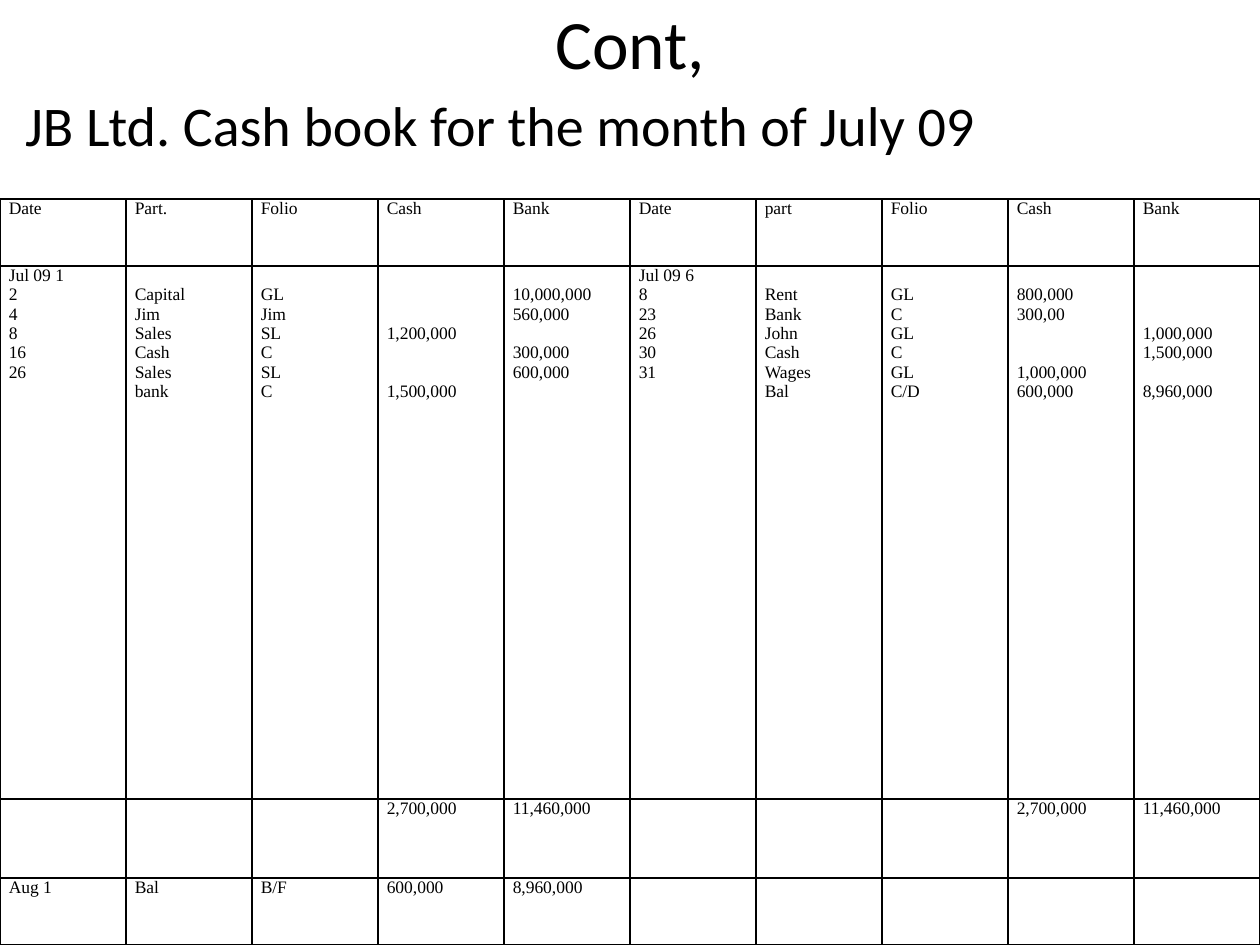
from lxml import etree
from pptx import Presentation, util as u
from pptx.dml.color import RGBColor
from pptx.enum import text
from pptx.oxml.ns import qn

WIDTH, HEIGHT = 10, 7.5
COLUMNS = 10
ROW_HEIGHTS = [0.53, 4.23, 0.63, 0.53]
LINE = 11.05  # points from one ledger line to the next
BLACK = "000000"

HEADER = ["Date", "Part.", "Folio", "Cash", "Bank",
          "Date", "part", "Folio", "Cash", "Bank"]
# One list per column; "" is a ledger line without an entry
ENTRIES = [
    ["Jul 09 1", "2", "4", "8", "16", "26"],
    ["", "Capital", "Jim", "Sales", "Cash", "Sales", "bank"],
    ["", "GL", "Jim", "SL", "C", "SL", "C"],
    ["", "", "", "1,200,000", "", "", "1,500,000"],
    ["", "10,000,000", "560,000", "", "300,000", "600,000"],
    ["Jul 09 6", "8", "23", "26", "30", "31"],
    ["", "Rent", "Bank", "John", "Cash", "Wages", "Bal"],
    ["", "GL", "C", "GL", "C", "GL", "C/D"],
    ["", "800,000", "300,00", "", "", "1,000,000", "600,000"],
    ["", "", "", "1,000,000", "1,500,000", "", "8,960,000"],
]
TOTALS = ["", "", "", "2,700,000", "11,460,000"]
BALANCES = ["Aug 1", "Bal", "B/F", "600,000", "8,960,000"]


def color(value):
    return RGBColor.from_string(value)


def format_font(paragraph, name, size):
    for run in paragraph.runs:
        run.font.name = name
        run.font.size = u.Pt(size)
        run.font.color.rgb = color(BLACK)


def place(shape, left, top, width, height):
    shape.left, shape.top = u.Inches(left), u.Inches(top)
    shape.width, shape.height = u.Inches(width), u.Inches(height)


def add_title(slide, title):
    shape = slide.shapes.title
    place(shape, 0.05 * WIDTH, 0, 0.9 * WIDTH, 0.67)
    frame = shape.text_frame
    frame.text = title
    frame.vertical_anchor = text.MSO_ANCHOR.MIDDLE
    frame.paragraphs[0].alignment = text.PP_ALIGN.CENTER
    format_font(frame.paragraphs[0], "Calibri", 39.6)


def add_subtitle(slide, subtitle):
    shape = slide.shapes.add_textbox(0, u.Inches(0.67), u.Inches(WIDTH), u.Inches(0.7))
    frame = shape.text_frame
    frame.word_wrap = True
    frame.margin_left = u.Inches(0.2)
    frame.text = subtitle
    format_font(frame.paragraphs[0], "Calibri", 32)


def draw_borders(cell):
    properties = cell._tc.get_or_add_tcPr()
    for side in ("a:lnL", "a:lnR", "a:lnT", "a:lnB"):
        line = etree.SubElement(properties, qn(side), w=str(u.Pt(1)))
        fill = etree.SubElement(line, qn("a:solidFill"))
        etree.SubElement(fill, qn("a:srgbClr"), val=BLACK)


def fill_cell(cell, lines):
    """Write the lines, leaving one line of space for each empty entry."""
    draw_borders(cell)
    cell.fill.background()
    cell.margin_left = cell.margin_right = u.Inches(0.07)
    cell.margin_top = cell.margin_bottom = 0
    frame = cell.text_frame
    paragraph, gap = None, 0
    for line in lines:
        if not line:
            gap += LINE
            continue
        if paragraph is None:
            paragraph = frame.paragraphs[0]
            cell.margin_top = u.Pt(gap)
        else:
            paragraph = frame.add_paragraph()
            paragraph.space_before = u.Pt(gap)
        gap = 0
        paragraph.text = line
        paragraph.alignment = text.PP_ALIGN.JUSTIFY
        paragraph.line_spacing = u.Pt(LINE)
        format_font(paragraph, "Times New Roman", 10)


def add_cash_book(slide):
    height = sum(ROW_HEIGHTS)
    frame = slide.shapes.add_table(len(ROW_HEIGHTS), COLUMNS, 0, u.Inches(HEIGHT - height),
                                   u.Inches(WIDTH), u.Inches(height))
    table = frame.table
    table.first_row = table.horz_banding = False
    for row, row_height in zip(table.rows, ROW_HEIGHTS):
        row.height = u.Inches(row_height)
    # Totals stand on both sides, balances brought forward only on the left
    rows = [
        [[label] for label in HEADER],
        ENTRIES,
        [[total] for total in TOTALS * 2],
        [[balance] for balance in BALANCES] + [[]] * len(BALANCES),
    ]
    for row, cells in enumerate(rows):
        for column, lines in enumerate(cells):
            fill_cell(table.cell(row, column), lines)


def main():
    presentation = Presentation()
    presentation.slide_width = u.Inches(WIDTH)
    presentation.slide_height = u.Inches(HEIGHT)
    slide = presentation.slides.add_slide(presentation.slide_layouts[5])
    add_title(slide, "Cont,")
    add_subtitle(slide, "JB Ltd. Cash book for the month of July 09")
    add_cash_book(slide)
    presentation.save("out.pptx")


if __name__ == "__main__":
    main()
